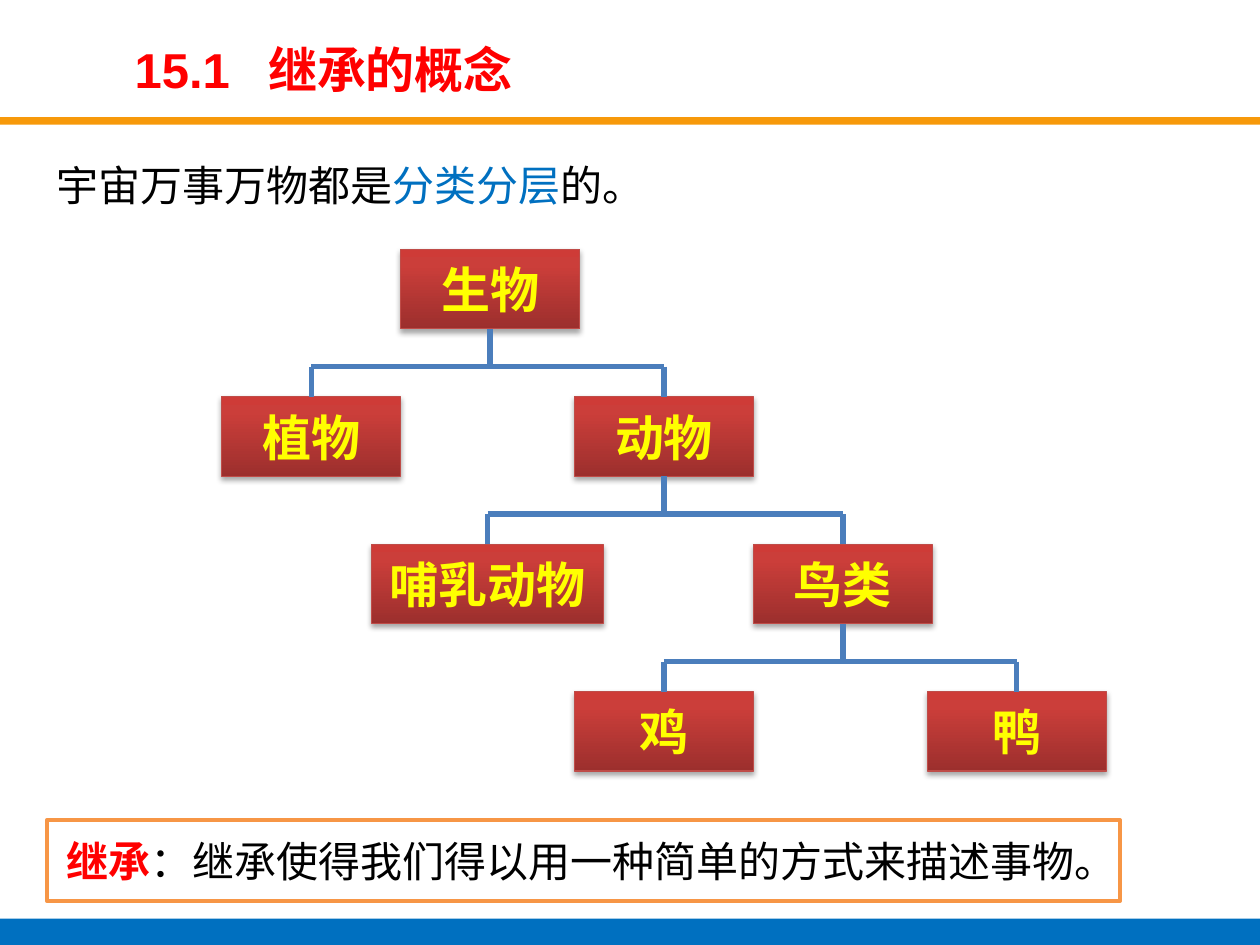
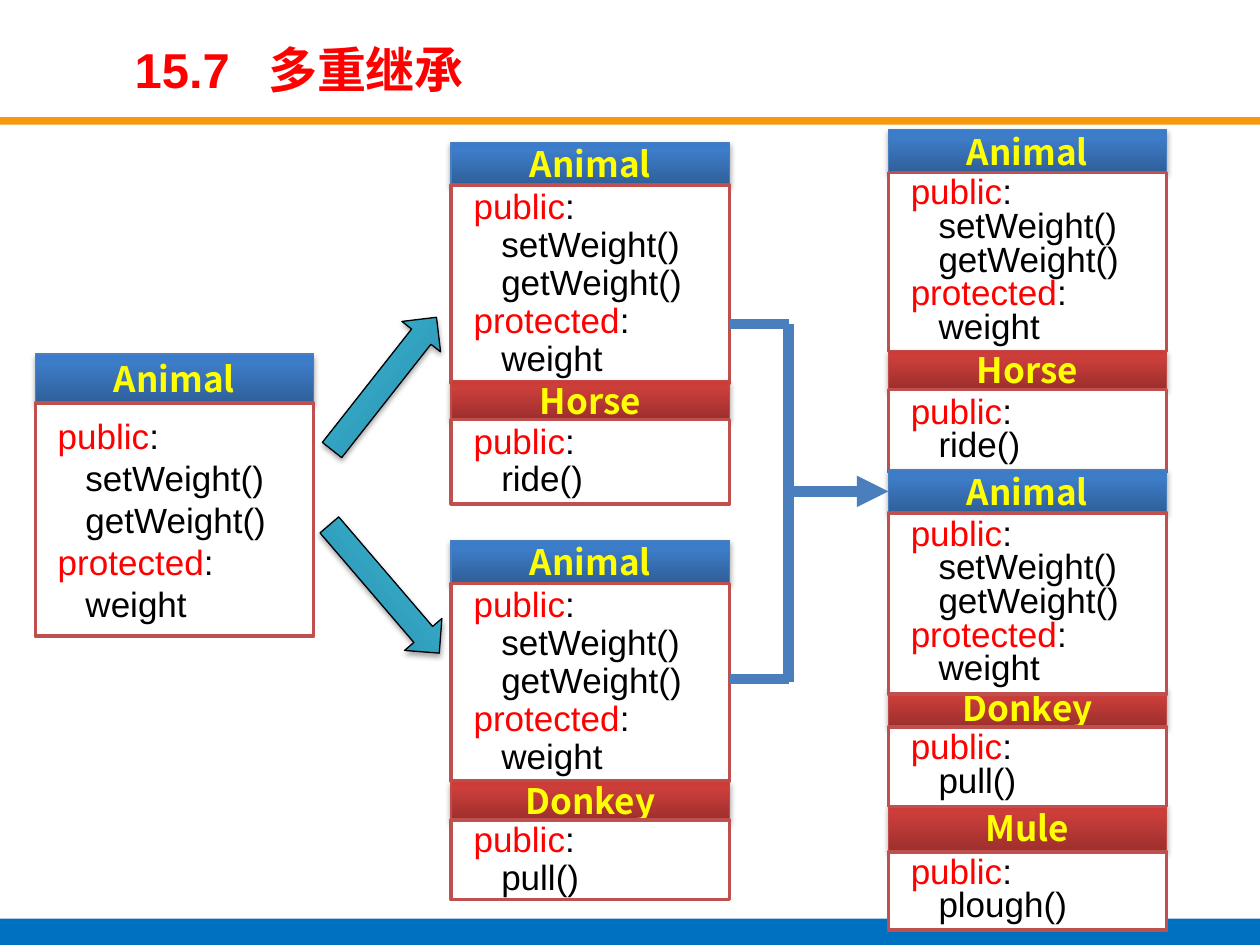
from lxml import etree
from pptx import Presentation
from pptx.dml.color import RGBColor
from pptx.enum.shapes import MSO_CONNECTOR as Link, MSO_SHAPE as Shape
from pptx.enum.text import MSO_ANCHOR as Anchor, PP_ALIGN as Align
from pptx.oxml import parse_xml
from pptx.oxml.ns import nsdecls, qn
from pptx.util import Inches, Pt

RED, BLUE, BLACK, WHITE = "FF0000", "0070C0", "000000", "FFFFFF"
YELLOW, ORANGE, WIRE, FRAME = "FFFF00", "F7990A", "4B7EBC", "C0504D"
LATIN, HAN = "Arial", "Noto Sans CJK SC"

# Gradient stops from bottom to top, then the outline
RUBY = ("9C2F2D", "CB3E3A", "CE3B37", "BF4C48")
NAVY = ("2F5F99", "3D7CC7", "3A7CCB", WIRE)
TEAL = ("2A88A2", "37B1D2", "34B4D6", BLACK)

# Class members shown on the second slide
ANIMAL = ("public", "setWeight()", "getWeight()", "protected", "weight")
HORSE = ("public", "ride()")
DONKEY = ("public", "pull()")
MULE = ("public", "plough()")


def rgb(code):
    return RGBColor.from_string(code)


def add_runs(para, parts, size, font=LATIN):
    """Add (text, colour, bold) parts to a paragraph."""
    for text, color, bold in parts:
        run = para.add_run()
        run.text = text
        run.font.size = Pt(size)
        run.font.name = font
        run.font.bold = bold
        run.font.color.rgb = rgb(color)
        east = etree.SubElement(run._r.get_or_add_rPr(), qn("a:ea"))
        east.set("typeface", HAN)


def add_box(slide, box, fill=None, line=None, width=0.75, kind=Shape.RECTANGLE):
    shape = slide.shapes.add_shape(kind, *map(Inches, box))
    shape.shadow.inherit = False
    if fill:
        shape.fill.solid()
        shape.fill.fore_color.rgb = rgb(fill)
    if line:
        shape.line.color.rgb = rgb(line)
        shape.line.width = Pt(width)
    else:
        shape.line.fill.background()
    shape.text_frame.word_wrap = True
    shape.text_frame.vertical_anchor = Anchor.MIDDLE
    return shape


def add_glossy(slide, box, theme, kind=Shape.RECTANGLE):
    """Add a shape with a vertical gradient and a soft shadow."""
    shape = add_box(slide, box, line=theme[3], kind=kind)
    stops = "".join(
        f'<a:gs pos="{pos}"><a:srgbClr val="{color}"/></a:gs>'
        for pos, color in zip((0, 80000, 100000), theme))
    props = shape._element.spPr
    props.find(qn("a:prstGeom")).addnext(parse_xml(
        f'<a:gradFill rotWithShape="1" {nsdecls("a")}><a:gsLst>{stops}</a:gsLst>'
        '<a:lin ang="16200000" scaled="0"/></a:gradFill>'))
    props.find(qn("a:effectLst")).append(parse_xml(
        f'<a:outerShdw blurRad="40000" dist="23000" dir="5400000" '
        f'rotWithShape="0" {nsdecls("a")}><a:srgbClr val="000000">'
        '<a:alpha val="35000"/></a:srgbClr></a:outerShdw>'))
    return shape


def add_label(slide, box, theme, text, size):
    shape = add_glossy(slide, box, theme)
    para = shape.text_frame.paragraphs[0]
    para.alignment = Align.CENTER
    add_runs(para, [(text, YELLOW, True)], size, HAN)
    return shape


def add_wire(slide, start, end, width, arrow=False):
    wire = slide.shapes.add_connector(
        Link.STRAIGHT, *map(Inches, (*start, *end)))
    wire.line.color.rgb = rgb(WIRE)
    wire.line.width = Pt(width)
    if arrow:
        tip = etree.SubElement(wire.line._get_or_add_ln(), qn("a:tailEnd"))
        tip.set("type", "triangle")
    etree.SubElement(wire._element.spPr, qn("a:effectLst"))
    return wire


def add_text(slide, box):
    frame = slide.shapes.add_textbox(*map(Inches, box)).text_frame
    frame.word_wrap = True
    return frame


def start_slide(deck, number, title):
    """Add a slide with its bands and its title."""
    slide = deck.slides.add_slide(deck.slide_layouts[6])
    add_box(slide, (0, 0.93, 10, 0.06), ORANGE)
    add_box(slide, (0, 7.29, 10, 0.21), BLUE)
    frame = add_text(slide, (0.97, 0.27, 6.86, 0.55))
    frame.vertical_anchor = Anchor.MIDDLE
    para = frame.paragraphs[0]
    add_runs(para, [(f"{number}\t{title}", RED, True)], 28)
    tabs = etree.SubElement(para._p.get_or_add_pPr(), qn("a:tabLst"))
    stop = etree.SubElement(tabs, qn("a:tab"))
    stop.set("pos", str(Inches(1.06)))
    stop.set("algn", "l")
    return slide


# Slide 1: tree of living things
def add_node(slide, text, mid, top, width=1.42):
    return add_label(slide, (mid - width / 2, top, width, 0.63), RUBY, text, 28)


def add_branch(slide, parent, kids):
    """Join a parent to its children with a bar above them."""
    mids = [(kid.left + kid.width / 2) / Inches(1) for kid in kids]
    bar = kids[0].top / Inches(1) - 0.24
    mid = (parent.left + parent.width / 2) / Inches(1)
    add_wire(slide, (mids[0], bar), (mids[-1], bar), 3)
    add_wire(slide, (mid, bar), (mid, bar), 3).begin_connect(parent, 2)
    for kid, x in zip(kids, mids):
        add_wire(slide, (x, bar), (x, bar), 3).end_connect(kid, 0)


def draw_tree(slide, left, top):
    step = 1.17
    parent = add_node(slide, "生物", left + 2.13, top)
    levels = (
        (("植物", 0.71, 1.42), ("动物", 3.51, 1.42)),
        (("哺乳动物", 2.11, 1.84), ("鸟类", 4.93, 1.42)),
        (("鸡", 3.51, 1.42), ("鸭", 6.31, 1.42)),
    )
    for depth, level in enumerate(levels, 1):
        kids = [add_node(slide, text, left + mid, top + depth * step, width)
                for text, mid, width in level]
        add_branch(slide, parent, kids)
        parent = kids[1]


def draw_concept(deck):
    slide = start_slide(deck, "15.1", "继承的概念")
    para = add_text(slide, (0.35, 1.14, 9.29, 0.7)).paragraphs[0]
    para.line_spacing = 1.2
    para.space_before = Pt(4.8)
    add_runs(para, [("宇宙万事万物都是", BLACK, False),
                    ("分类分层", BLUE, False), ("的。", BLACK, False)], 24)
    draw_tree(slide, 1.76, 1.98)

    # Definition
    frame = add_box(slide, (0.37, 6.51, 8.52, 0.64), WHITE, "F79646", 2.25).text_frame
    frame.margin_left, frame.margin_right = Inches(0.16), Inches(0.02)
    para = frame.paragraphs[0]
    para.alignment = Align.LEFT
    add_runs(para, [("继承", RED, True),
                    ("：继承使得我们得以用一种简单的方式来描述事物。", BLACK, False)],
             24, HAN)


# Slide 2: class boxes
def draw_class(slide, spot, name, members, heights, spacing, theme=RUBY):
    """Stack a name bar on a member list and return the bar."""
    (left, top), (head, body), width = spot, heights, 2.21
    bar = add_label(slide, (left, top, width, head), theme, name, 20)
    frame = add_box(slide, (left, top + head, width, body),
                    WHITE, FRAME, 2).text_frame
    for row, member in enumerate(members):
        para = frame.paragraphs[0] if row == 0 else frame.add_paragraph()
        para.alignment = Align.LEFT
        para.line_spacing = spacing
        access = member in ("public", "protected")
        para._p.get_or_add_pPr().set("marL", str(Inches(0.08 if access else 0.3)))
        parts = [(member, RED, False), (":", BLACK, False)]
        add_runs(para, parts if access else [(member, BLACK, False)], 20)
    return bar


def draw_merge(slide, left, target):
    """Gather both parents into one arrow that ends at the target."""
    turn, high, low, mid = left + 0.47, 2.57, 5.39, 3.9
    for y in (high, low):
        add_wire(slide, (left, y), (turn, y), 6)
    add_wire(slide, (turn, low + 0.02), (turn, high), 6)
    add_wire(slide, (turn, mid), (7.05, mid), 6, True).end_connect(target, 1)


def draw_multiple(deck):
    slide = start_slide(deck, "15.7", "多重继承")

    # Base class
    draw_class(slide, (0.28, 2.81), "Animal", ANIMAL, (0.39, 1.85), 1, NAVY)

    # Two derived classes
    for top, name, members, gap, heights in (
            (1.13, "Horse", HORSE, 1.89, (0.31, 0.67)),
            (4.29, "Donkey", DONKEY, 1.91, (0.31, 0.63))):
        draw_class(slide, (3.58, top), "Animal", ANIMAL, (0.34, 1.57), 0.9, NAVY)
        draw_class(slide, (3.58, top + gap), name, members, heights, 0.9)

    # Class with both parents, later boxes overlap earlier ones
    for top, name, members, heights, theme in (
            (6.38, "Mule", MULE, (0.38, 0.62), RUBY),
            (1.03, "Animal", ANIMAL, (0.34, 1.42), NAVY),
            (2.78, "Horse", HORSE, (0.31, 0.66), RUBY),
            (5.46, "Donkey", DONKEY, (0.31, 0.63), RUBY),
            (3.73, "Animal", ANIMAL, (0.34, 1.44), NAVY)):
        bar = draw_class(slide, (7.05, top), name, members, heights, 0.8, theme)

    # Arrows
    for top, angle in ((2.85, 308.2), (4.48, 49.4)):
        arrow = add_glossy(slide, (2.38, top, 1.34, 0.39), TEAL, Shape.RIGHT_ARROW)
        arrow.rotation = angle
    draw_merge(slide, 5.79, bar)


def main():
    deck = Presentation()
    deck.slide_width, deck.slide_height = Inches(10), Inches(7.5)
    draw_concept(deck)
    draw_multiple(deck)
    deck.save("out.pptx")


if __name__ == "__main__":
    main()
